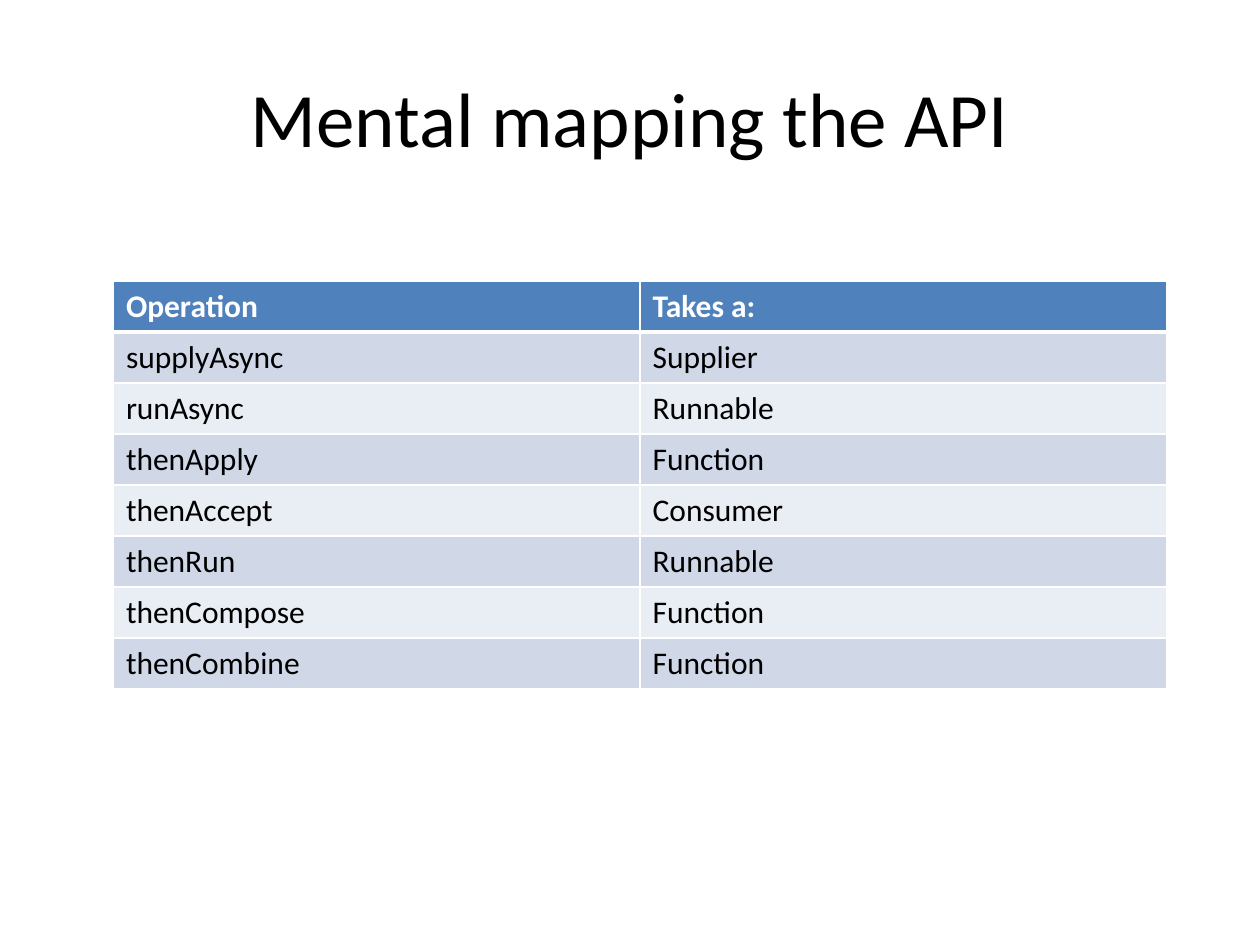
import dataclasses

import lxml.etree
import pptx
import pptx.dml.color
import pptx.enum.text
import pptx.oxml.ns
import pptx.presentation
import pptx.slide
import pptx.table
import pptx.text.text
import pptx.util
from pptx.util import Inches

FONT = "Calibri"
COLORS = {
    "text": "000000",
    "header_text": "FFFFFF",
    "header": "4F81BD",
    "odd_row": "D0D8E8",
    "even_row": "E9EDF4",
    "border": "FFFFFF",
}


@dataclasses.dataclass
class Operation:
    name: str
    takes: str


HEADER = Operation("Operation", "Takes a:")
OPERATIONS = [
    Operation("supplyAsync", "Supplier"),
    Operation("runAsync", "Runnable"),
    Operation("thenApply", "Function"),
    Operation("thenAccept", "Consumer"),
    Operation("thenRun", "Runnable"),
    Operation("thenCompose", "Function"),
    Operation("thenCombine", "Function"),
]


def rgb(color: str) -> pptx.dml.color.RGBColor:
    return pptx.dml.color.RGBColor.from_string(COLORS[color])


def format_text(frame: pptx.text.text.TextFrame, size: int, color: str, bold: bool = False) -> None:
    font = frame.paragraphs[0].runs[0].font
    font.name = FONT
    font.size = pptx.util.Pt(size)
    font.bold = bold
    font.color.rgb = rgb(color)


def add_border(cell: pptx.table._Cell, side: str, points: int) -> None:
    qn = pptx.oxml.ns.qn
    properties = cell._tc.get_or_add_tcPr()
    line = lxml.etree.SubElement(properties, qn(f"a:ln{side}"), w=str(pptx.util.Pt(points)))
    fill = lxml.etree.SubElement(line, qn("a:solidFill"))
    lxml.etree.SubElement(fill, qn("a:srgbClr"), val=COLORS["border"])


def fill_row(table: pptx.table.Table, row: int, operation: Operation) -> None:
    is_header = row == 0
    background = "header" if is_header else "odd_row" if row % 2 else "even_row"
    # The line between the header and the first operation is thicker
    widths = {"L": 1, "R": 1, "T": 3 if row == 1 else 1, "B": 3 if is_header else 1}
    for column, text in enumerate((operation.name, operation.takes)):
        cell = table.cell(row, column)
        cell.text_frame.text = text
        format_text(cell.text_frame, 18, "header_text" if is_header else "text", is_header)
        for side, points in widths.items():
            add_border(cell, side, points)
        cell.fill.solid()
        cell.fill.fore_color.rgb = rgb(background)


def add_title(slide: pptx.slide.Slide, text: str) -> None:
    title = slide.shapes.add_textbox(Inches(0.5), Inches(0.3), Inches(9), Inches(1.25)).text_frame
    title.word_wrap = True
    title.vertical_anchor = pptx.enum.text.MSO_ANCHOR.MIDDLE
    title.text = text
    title.paragraphs[0].alignment = pptx.enum.text.PP_ALIGN.CENTER
    format_text(title, 44, "text")


def main() -> None:
    presentation = pptx.Presentation()
    presentation.slide_width = Inches(10)
    presentation.slide_height = Inches(7.5)
    slide = presentation.slides.add_slide(presentation.slide_layouts[6])

    # Title
    add_title(slide, "Mental mapping the API")

    # Operations and the functional type each one takes
    rows = [HEADER, *OPERATIONS]
    table = slide.shapes.add_table(
        len(rows), 2, Inches(0.9), Inches(2.23), Inches(8.36), Inches(3.24)
    ).table
    for row, operation in enumerate(rows):
        fill_row(table, row, operation)

    presentation.save("out.pptx")


if __name__ == "__main__":
    main()
